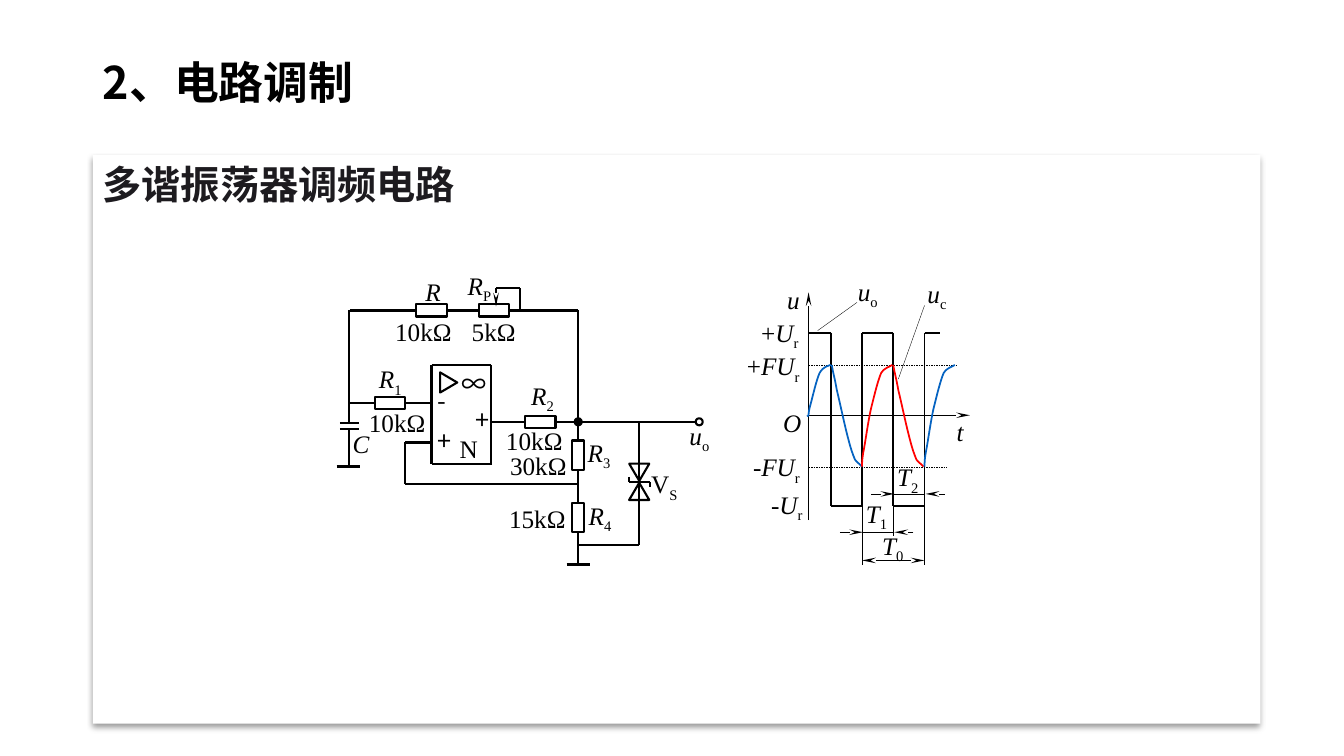
from itertools import pairwise

from lxml import etree
from pptx import Presentation
from pptx.dml.color import RGBColor
from pptx.enum.dml import MSO_LINE
from pptx.enum.shapes import MSO_CONNECTOR, MSO_SHAPE
from pptx.enum.text import MSO_ANCHOR, PP_ALIGN
from pptx.oxml import parse_xml
from pptx.oxml.ns import nsdecls, qn
from pptx.util import Pt

PX = 9144
BLACK = RGBColor(0x00, 0x00, 0x00)
WHITE = RGBColor(0xFF, 0xFF, 0xFF)
INK = RGBColor(0x1D, 0x1B, 0x1F)
RED = RGBColor(0xFF, 0x00, 0x00)
BLUE = RGBColor(0x05, 0x63, 0xC1)
HEADING_FONT, LABEL_FONT = "Noto Sans CJK SC", "Times New Roman"
RECTANGLE, OVAL, TRIANGLE = MSO_SHAPE.RECTANGLE, MSO_SHAPE.OVAL, MSO_SHAPE.ISOSCELES_TRIANGLE
STRAIGHT, DASH = MSO_CONNECTOR.STRAIGHT, MSO_LINE.DASH
MIDDLE, START_ALIGNED = MSO_ANCHOR.MIDDLE, PP_ALIGN.LEFT
TOP, LEFT, BOTTOM, RIGHT = range(4)

RISE = [(30, 0), (28, 2), (23, 2), (19, 8), (16, 15), (13, 27), (10, 39),
        (7, 50), (4, 72), (2, 83), (0, 93), (0, 97), (0, 101)]
FALL = [(0, 0), (1, 7), (3, 13), (5, 25), (8, 37), (13, 61), (16, 72),
        (19, 84), (21, 89), (23, 94), (26, 98), (29, 99), (30, 101)]
START = [(23, 0), (21, 1), (16, 1), (12, 8), (9, 14), (5, 32), (3, 39),
         (1, 46), (1, 49), (1, 50), (0, 52), (0, 50), (0, 50)]


def place(box, x, y, width, height):
    """Turn px lengths relative to a box into EMU."""
    return (box[0] + x) * PX, (box[1] + y) * PX, width * PX, height * PX


def style_span(span, font, size, colour):
    """Set a run's typeface for Latin and East Asian text, size and colour."""
    span.font.name, span.font.size = font, Pt(size)
    span.font.color.rgb = colour
    etree.SubElement(span.font._element, qn("a:ea")).set("typeface", font)


def draw_heading(shape, text, size, colour, spacing):
    """Fill a shape with one bold heading."""
    shape.text_frame.text = text
    shape.text_frame.word_wrap = True
    para = shape.text_frame.paragraphs[0]
    para.line_spacing, para.alignment = spacing, START_ALIGNED
    style_span(para.runs[0], HEADING_FONT, size, colour)
    para.runs[0].font.bold = True


def draw_label(page, box, area, upright, italic="", sub=""):
    """Write a symbol made of upright, italic and subscript parts."""
    frame = page.shapes.add_textbox(*place(box, *area)).text_frame
    frame.word_wrap = True
    for text, slanted, lowered in ((upright, False, False), (italic, True, False), (sub, False, True)):
        if text:
            span = frame.paragraphs[0].add_run()
            span.text = text
            style_span(span, LABEL_FONT, 18, BLACK)
            span.font.italic = slanted
            if lowered:
                span.font._element.set("baseline", "-25000")


def draw_sign(page, box, area, text, font):
    """Write a sign inside the amplifier without margins."""
    frame = page.shapes.add_textbox(*place(box, *area)).text_frame
    frame.word_wrap = True
    frame.margin_left = frame.margin_top = frame.margin_right = frame.margin_bottom = 0
    frame.text = text
    style_span(frame.paragraphs[0].runs[0], font, 18, BLACK)


def draw_outline(page, box, kind, area, turn=0):
    """Add an unfilled component symbol."""
    shape = page.shapes.add_shape(kind, *place(box, *area))
    shape.shadow.inherit = False
    shape.fill.background()
    shape.line.color.rgb, shape.line.width = BLACK, Pt(1.5)
    shape.rotation = turn
    return shape


def draw_wire(page, box, start, end, width, parts=None, heads=(), dash=None):
    """Join two points, or named parts at a side, with a straight line."""
    points = [(0, 0) if isinstance(stop[0], str) else stop for stop in (start, end)]
    (x1, y1), (x2, y2) = [place(box, *point, 0, 0)[:2] for point in points]
    wire = page.shapes.add_connector(STRAIGHT, x1, y1, x2, y2)
    for stop, connect in ((start, wire.begin_connect), (end, wire.end_connect)):
        if isinstance(stop[0], str):
            connect(parts[stop[0]], stop[1])
    wire.line.color.rgb, wire.line.width = BLACK, Pt(width)
    if dash is not None:
        wire.line.dash_style = dash
    for head in heads:
        etree.SubElement(wire.line._get_or_add_ln(), qn("a:" + head), type="stealth", w="sm", len="lg")
    etree.SubElement(wire._element.spPr, qn("a:effectLst"))


def draw_curve(page, box, x, y, knots, colour):
    """Draw chained cubic curves as one open outline."""
    points = [place(box, x + across, y + down, 0, 0)[:2] for across, down in knots]
    builder = page.shapes.build_freeform(*points[0])
    builder.add_line_segments(points[1:], close=False)
    curve = builder.convert_to_shape()
    segments = list(curve._element.iter(qn("a:lnTo")))
    outline = segments[0].getparent()
    for first in range(0, len(segments), 3):
        cubic = etree.SubElement(outline, qn("a:cubicBezTo"))
        for segment in segments[first:first + 3]:
            cubic.append(segment[0])
            outline.remove(segment)
    curve.shadow.inherit = False
    curve.fill.background()
    curve.line.color.rgb, curve.line.width = colour, Pt(1.25)


def draw_frame(page, box):
    """Draw the panel with its shadow, the slide title and the subtitle."""
    panel = page.shapes.add_shape(RECTANGLE, *place(box, 0, 0, 1158, 564))
    panel.fill.solid()
    panel.fill.fore_color.rgb = WHITE
    panel.line.fill.background()
    panel._element.spPr.append(parse_xml(
        f'<a:effectLst {nsdecls("a")}><a:outerShdw blurRad="50800" dist="38100" dir="5400000">'
        '<a:srgbClr val="000000"><a:alpha val="40000"/></a:srgbClr></a:outerShdw></a:effectLst>'))
    title = page.shapes.title
    title.left, title.top, title.width, title.height = place(box, 0, -102, 1150, 65)
    draw_heading(title, "2、电路调制", 32, BLACK, 0.9)
    title.text_frame.vertical_anchor = MIDDLE
    subtitle = page.shapes.add_textbox(*place(box, 0, -23, 1150, 544))
    draw_heading(subtitle, "多谐振荡器调频电路", 28, INK, 1.5)


def draw_circuit(page, box):
    """Draw the multivibrator circuit."""
    resistors = {"R": (113, 102, 30, 12), "RP": (175, 102, 30, 12), "R1": (72, 194, 30, 12),
                 "R2": (221, 213, 30, 12), "R3": (267, 237, 12, 29), "R4": (267, 299, 12, 29)}
    parts = {name: draw_outline(page, box, RECTANGLE, area) for name, area in resistors.items()}
    for area, turn in (((135, 171, 20, 17), 90), ((324, 279, 20, 17), 0), ((324, 260, 20, 17), 180)):
        draw_outline(page, box, TRIANGLE, area, turn)
    draw_outline(page, box, OVAL, (390, 215, 7, 7))
    for inset in range(4):
        draw_outline(page, box, OVAL, (270 + inset, 215 + inset, 7 - 2 * inset, 7 - 2 * inset))
    for start, end in (
            ((128, 162), (187, 162)), ((187, 162), (187, 261)),
            ((128, 260), (187, 260)), ((128, 162), (128, 260)),
            ((47, 108), ("R", LEFT)), (("R", RIGHT), ("RP", LEFT)), (("RP", RIGHT), (273, 108)),
            ((273, 108), ("R3", TOP)), (("R3", BOTTOM), ("R4", TOP)), (("R4", BOTTOM), (273, 360)),
            ((46, 108), (46, 220)), ((37, 220), (56, 220)), ((37, 226), (56, 226)), ((46, 226), (46, 263)),
            ((47, 200), ("R1", LEFT)), (("R1", RIGHT), (128, 200)),
            ((128, 239), (102, 239)), ((102, 239), (102, 280)), ((102, 280), (273, 280)),
            ((187, 219), ("R2", LEFT)), (("R2", RIGHT), (390, 219)),
            ((192, 86), (216, 86)), ((216, 86), (216, 108)),
            ((334, 219), (334, 341)), ((273, 341), (334, 341)),
            ((324, 278), (345, 278)), ((345, 278), (345, 283)), ((324, 273), (324, 278))):
        draw_wire(page, box, start, end, 1.5, parts)
    draw_wire(page, box, (192, 86), (192, 104), 1.5, heads=["tailEnd"])
    for x, y in ((34, 263), (262, 360)):
        draw_wire(page, box, (x, y), (x + 23, y), 2.5)
    for area, text, font in (
            ((158, 165, 18, 17), "∞", HEADING_FONT), ((134, 182, 17, 24), "-", HEADING_FONT),
            ((134, 222, 14, 21), "+", HEADING_FONT), ((172, 201, 15, 19), "+", HEADING_FONT),
            ((156, 230, 17, 24), "N", LABEL_FONT)):
        draw_sign(page, box, area, text, font)
    for x, y, *text in (
            (374, 212, "", "u", "o"), (40, 220, "", "C"), (112, 69, "", "R"), (154, 63, "", "R", "P"),
            (66, 156, "", "R", "1"), (217, 172, "", "R", "2"), (273, 229, "", "R", "3"),
            (274, 291, "", "R", "4"), (336, 260, "V", "", "S")):
        draw_label(page, box, (x, y, 66, 36), *text)
    for x, y, text in ((82, 109, "10kΩ"), (158, 109, "5kΩ"), (56, 199, "10kΩ"),
                       (192, 217, "10kΩ"), (196, 242, "30kΩ"), (195, 294, "15kΩ")):
        draw_label(page, box, (x, y, 85, 36), text)


def draw_waveforms(page, box):
    """Draw the output and capacitor voltages over time."""
    draw_wire(page, box, (102, 212), (262, 212), 0.5, heads=["tailEnd"])
    draw_wire(page, box, (102, 316), (102, 90), 0.5, heads=["tailEnd"])
    corners = [(102, 130)]
    for index, x in enumerate((124, 155, 186, 217)):
        corners += [(x, 130), (x, 302)] if index % 2 == 0 else [(x, 302), (x, 130)]
    for start, end in pairwise(corners + [(232, 130)]):
        draw_wire(page, box, start, end, 1.25)
    for y, right in ((162, 249), (263, 239)):
        draw_wire(page, box, (102, y), (right, y), 0.25, dash=DASH)
    for x, knots, colour in ((101, START, BLUE), (125, FALL, BLUE), (155, RISE, RED),
                             (186, FALL, RED), (217, RISE, BLUE)):
        draw_curve(page, box, x, 162, knots, colour)
    for start, end in (((111, 128), (150, 100)), ((191, 176), (217, 103)), ((186, 302), (186, 332)),
                       ((217, 302), (217, 361)), ((155, 302), (155, 361))):
        draw_wire(page, box, start, end, 0.25)
    draw_wire(page, box, (155, 356), (217, 356), 0.25, heads=["headEnd", "tailEnd"])
    for left, right, y in ((155, 186, 328), (186, 217, 290)):
        draw_wire(page, box, (left, y), (right, y), 0.25)
        draw_wire(page, box, (left - 22, y), (left + 1, y), 0.25, heads=["tailEnd"])
        draw_wire(page, box, (right + 20, y), (right + 1, y), 0.25, heads=["tailEnd"])
    for area, *text in (
            ((31, 143, 93, 52), "+", "FU", "r"), ((37, 243, 79, 52), "-", "FU", "r"),
            ((45, 110, 69, 52), "+", "U", "r"), ((55, 280, 73, 52), "-", "U", "r"),
            ((71, 77, 43, 29), "", "u"), ((67, 199, 43, 29), "", "O"), ((239, 208, 43, 29), "", "t"),
            ((141, 69, 59, 38), "", "u", "o"), ((210, 71, 55, 31), "", "u", "c"),
            ((180, 253, 71, 30), "", "T", "2"), ((149, 289, 55, 45), "", "T", "1"),
            ((165, 321, 58, 39), "", "T", "0")):
        draw_label(page, box, area, *text)


def main():
    """Build the slide and save the deck."""
    deck = Presentation()
    deck.slide_width, deck.slide_height = 1333 * PX, 750 * PX
    page = deck.slides.add_slide(deck.slide_layouts[5])
    draw_frame(page, (92, 154))
    draw_circuit(page, (300, 200))
    draw_waveforms(page, (700, 200))
    deck.save("out.pptx")


if __name__ == "__main__":
    main()
